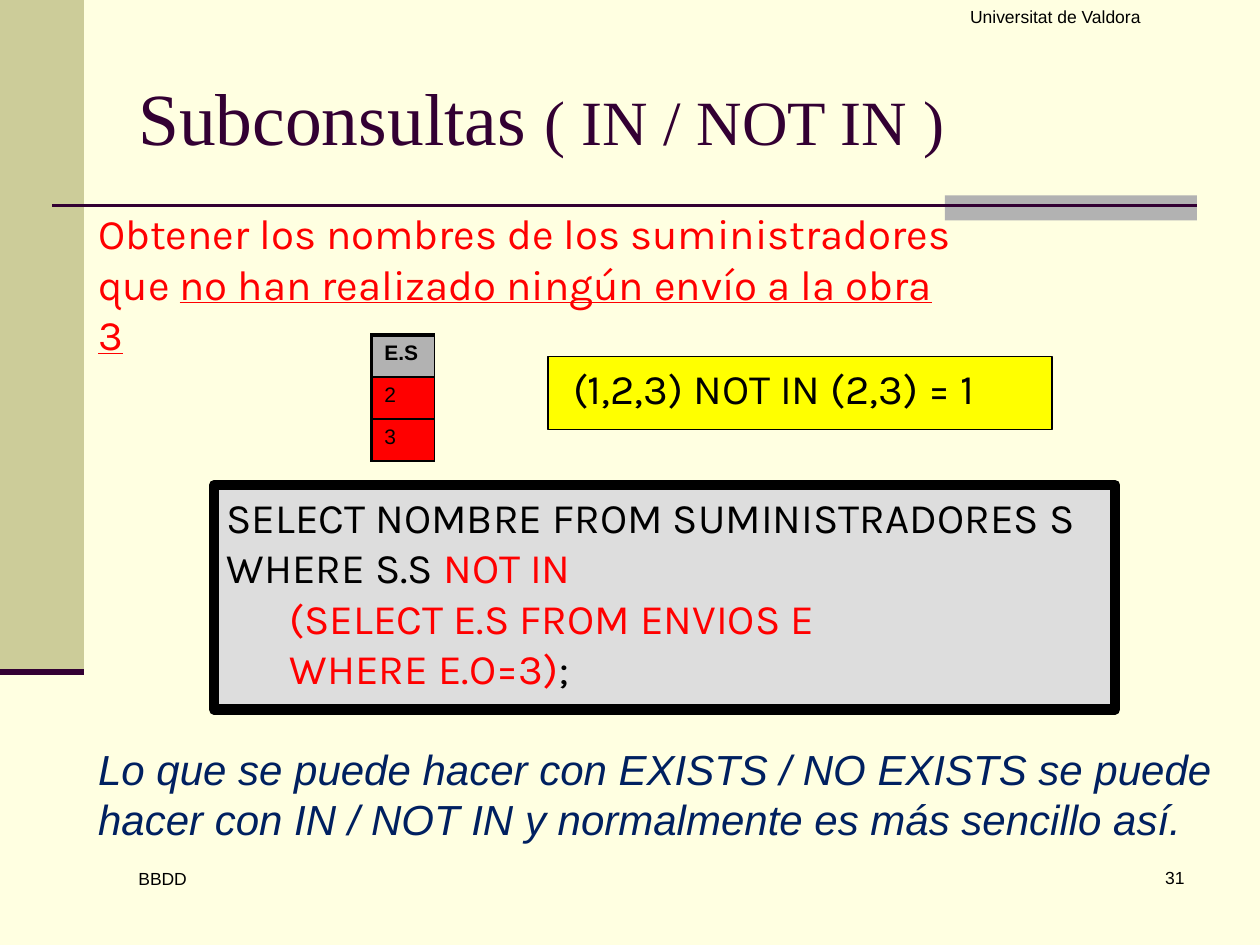
"""Build the slide about subqueries with IN and NOT IN."""
from dataclasses import dataclass
from typing import Optional

import lxml.etree
import pptx
import pptx.dml.color
import pptx.enum.shapes
import pptx.enum.text
import pptx.oxml.ns
import pptx.slide
import pptx.table
import pptx.text.text
import pptx.util

Pt = pptx.util.Pt
RGBColor = pptx.dml.color.RGBColor
Align = pptx.enum.text.PP_ALIGN
Anchor = pptx.enum.text.MSO_ANCHOR
qn = pptx.oxml.ns.qn

CREAM = RGBColor(0xFF, 0xFF, 0xE1)
OLIVE = RGBColor(0xCC, 0xCC, 0x99)
GRAY = RGBColor(0xB2, 0xB2, 0xB2)
LIGHT_GRAY = RGBColor(0xDD, 0xDD, 0xDD)
PLUM = RGBColor(0x33, 0x00, 0x33)
NAVY = RGBColor(0x00, 0x20, 0x60)
YELLOW = RGBColor(0xFF, 0xFF, 0x00)
RED = RGBColor(0xFF, 0x00, 0x00)
BLACK = RGBColor(0x00, 0x00, 0x00)


@dataclass(frozen=True)
class Box:
    left: float
    top: float
    width: float
    height: float

    def lengths(self) -> list[pptx.util.Length]:
        return [Pt(value) for value in (self.left, self.top, self.width, self.height)]


@dataclass(frozen=True)
class Span:
    text: str
    size: float = 24
    font: str = "Karla"
    color: RGBColor = BLACK
    bold: bool = False
    italic: bool = False
    underline: bool = False


@dataclass(frozen=True)
class Panel:
    box: Box
    fill: RGBColor
    line_width: Optional[float] = None


@dataclass(frozen=True)
class Rule:
    left: float
    right: float
    top: float
    width: float


@dataclass(frozen=True)
class Label:
    box: Box
    paragraphs: list[list[Span]]
    align: Align = Align.LEFT
    anchor: Anchor = Anchor.TOP


CODE_BOX = Box(122.4, 277.2, 514.8, 128.2)
PANELS = [
    Panel(Box(0, 0, 48, 384), OLIVE),
    Panel(Box(540, 111.6, 144, 14.4), GRAY),
    Panel(Box(313.2, 203.8, 288, 41.8), YELLOW, 0.75),
    Panel(CODE_BOX, LIGHT_GRAY, 6),
]
RULES = [Rule(30, 684, 117.5, 1.5), Rule(0, 48, 384, 3.5)]
LABELS = [
    Label(Box(534, 492, 150, 36), [[Span("31", 10, "Arial")]], Align.RIGHT),
    Label(
        Box(72, 21.6, 629.3, 90),
        [[
            Span("Subconsultas ", 42, "Times New Roman", PLUM),
            Span("( IN / NOT IN )", 36, "Times New Roman", PLUM),
        ]],
        anchor=Anchor.MIDDLE,
    ),
    Label(Box(486, 0, 234, 36), [[Span("Universitat de Valdora", 10, "Arial")]], Align.CENTER),
    Label(Box(72, 492.5, 156, 36), [[Span("BBDD", 10, "Arial")]]),
    Label(
        Box(49, 115.2, 505.4, 65.5),
        [
            [Span("Obtener los nombres de los suministradores", color=RED)],
            [
                Span("que ", color=RED),
                Span("no han realizado ningún envío a la obra 3", color=RED, underline=True),
            ],
        ],
    ),
    Label(
        CODE_BOX,
        [
            [Span("SELECT NOMBRE FROM SUMINISTRADORES S")],
            [Span("WHERE S.S "), Span("NOT IN", color=RED)],
            [Span("\t(SELECT E.S FROM ENVIOS E", color=RED)],
            [Span("\tWHERE E.O=3)", color=RED), Span(";")],
        ],
    ),
    Label(Box(320.4, 203.8, 280.8, 36.7), [[Span("(1,2,3) NOT IN (2,3) = 1")]]),
    Label(
        Box(49, 421.2, 652.3, 65.5),
        [[Span(
            "Lo que se puede hacer con EXISTS / NO EXISTS se puede hacer con "
            "IN / NOT IN y normalmente es más sencillo así.",
            font="Arial", color=NAVY, italic=True,
        )]],
    ),
]
TABLE_BOX = Box(212.4, 191.5, 36, 72)
TABLE_VALUES = ["E.S", "2", "3"]


def draw_panel(slide: pptx.slide.Slide, panel: Panel) -> None:
    shape = slide.shapes.add_shape(
        pptx.enum.shapes.MSO_SHAPE.RECTANGLE, *panel.box.lengths()
    )
    shape.shadow.inherit = False
    shape.fill.solid()
    shape.fill.fore_color.rgb = panel.fill
    if panel.line_width is None:
        shape.line.fill.background()
    else:
        shape.line.color.rgb = BLACK
        shape.line.width = Pt(panel.line_width)


def draw_rule(slide: pptx.slide.Slide, rule: Rule) -> None:
    connector = slide.shapes.add_connector(
        pptx.enum.shapes.MSO_CONNECTOR.STRAIGHT,
        Pt(rule.left), Pt(rule.top), Pt(rule.right), Pt(rule.top),
    )
    connector.line.color.rgb = PLUM
    connector.line.width = Pt(rule.width)
    properties = connector.element.find(qn("p:spPr"))
    lxml.etree.SubElement(properties, qn("a:effectLst"))


def write_span(paragraph: pptx.text.text._Paragraph, span: Span) -> None:
    run = paragraph.add_run()
    run.text = span.text
    run.font.size = Pt(span.size)
    run.font.name = span.font
    run.font.color.rgb = span.color
    run.font.bold = span.bold
    run.font.italic = span.italic
    run.font.underline = span.underline


def draw_label(slide: pptx.slide.Slide, label: Label) -> None:
    text_frame = slide.shapes.add_textbox(*label.box.lengths()).text_frame
    text_frame.word_wrap = True
    text_frame.vertical_anchor = label.anchor
    for index, spans in enumerate(label.paragraphs):
        paragraph = text_frame.add_paragraph() if index else text_frame.paragraphs[0]
        paragraph.alignment = label.align
        for span in spans:
            write_span(paragraph, span)


def set_borders(cell: pptx.table._Cell, widths: dict[str, float]) -> None:
    properties = cell._tc.get_or_add_tcPr()
    for index, (side, width) in enumerate(widths.items()):
        line = lxml.etree.Element(qn(f"a:{side}"), w=str(Pt(width)))
        fill = lxml.etree.SubElement(line, qn("a:solidFill"))
        lxml.etree.SubElement(fill, qn("a:srgbClr"), val=str(BLACK))
        properties.insert(index, line)


def draw_table(slide: pptx.slide.Slide, box: Box, values: list[str]) -> None:
    table = slide.shapes.add_table(len(values), 1, *box.lengths()).table
    table.first_row = table.horz_banding = False
    for index, value in enumerate(values):
        header = index == 0
        cell = table.cell(index, 0)
        cell.fill.solid()
        cell.fill.fore_color.rgb = GRAY if header else RED
        paragraph = cell.text_frame.paragraphs[0]
        paragraph.space_before = Pt(2.4)
        write_span(paragraph, Span(value, 12, "Arial", bold=header))
        set_borders(cell, {"lnL": 2.25, "lnR": 1, "lnT": 2.25 if header else 1, "lnB": 1})


def main() -> None:
    presentation = pptx.Presentation()
    presentation.slide_width, presentation.slide_height = Pt(720), Pt(540)
    slide = presentation.slides.add_slide(presentation.slide_layouts[6])
    slide.background.fill.solid()
    slide.background.fill.fore_color.rgb = CREAM
    for panel in PANELS:
        draw_panel(slide, panel)
    for rule in RULES:
        draw_rule(slide, rule)
    draw_table(slide, TABLE_BOX, TABLE_VALUES)
    for label in LABELS:
        draw_label(slide, label)
    presentation.save("out.pptx")


if __name__ == "__main__":
    main()
